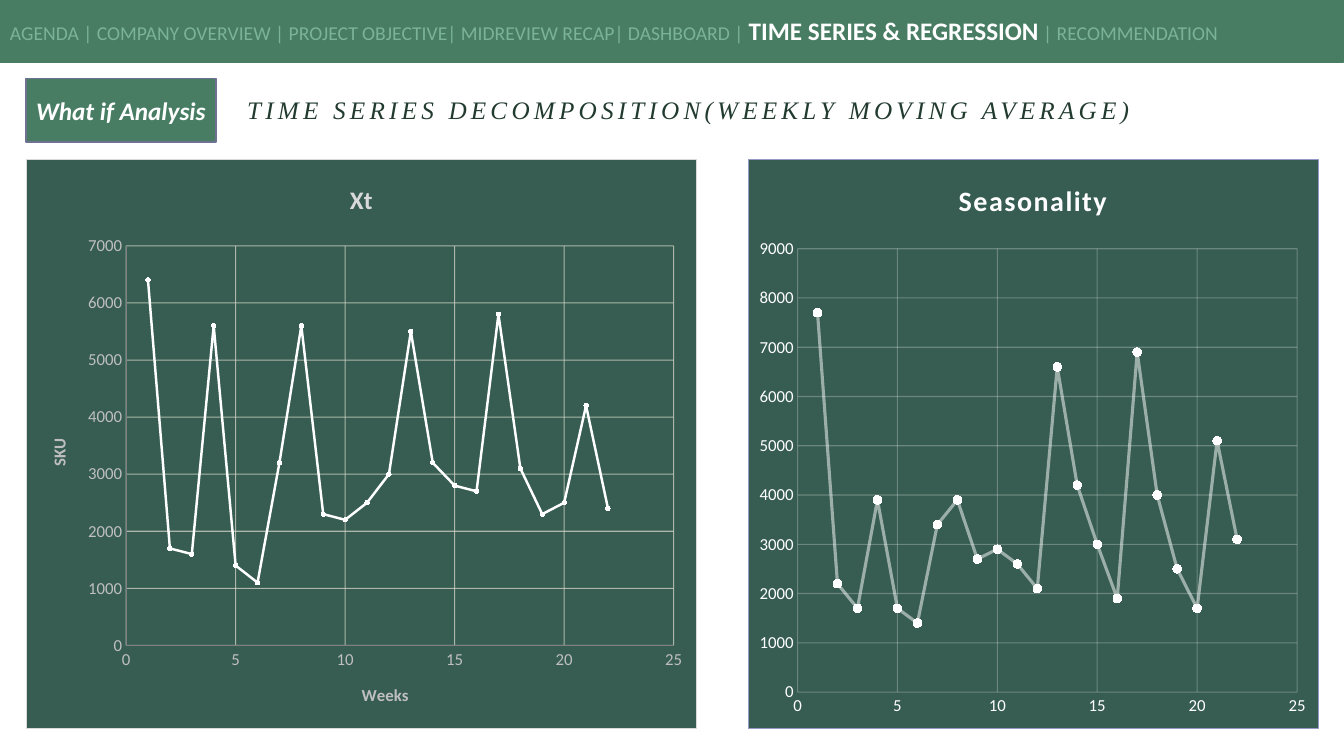
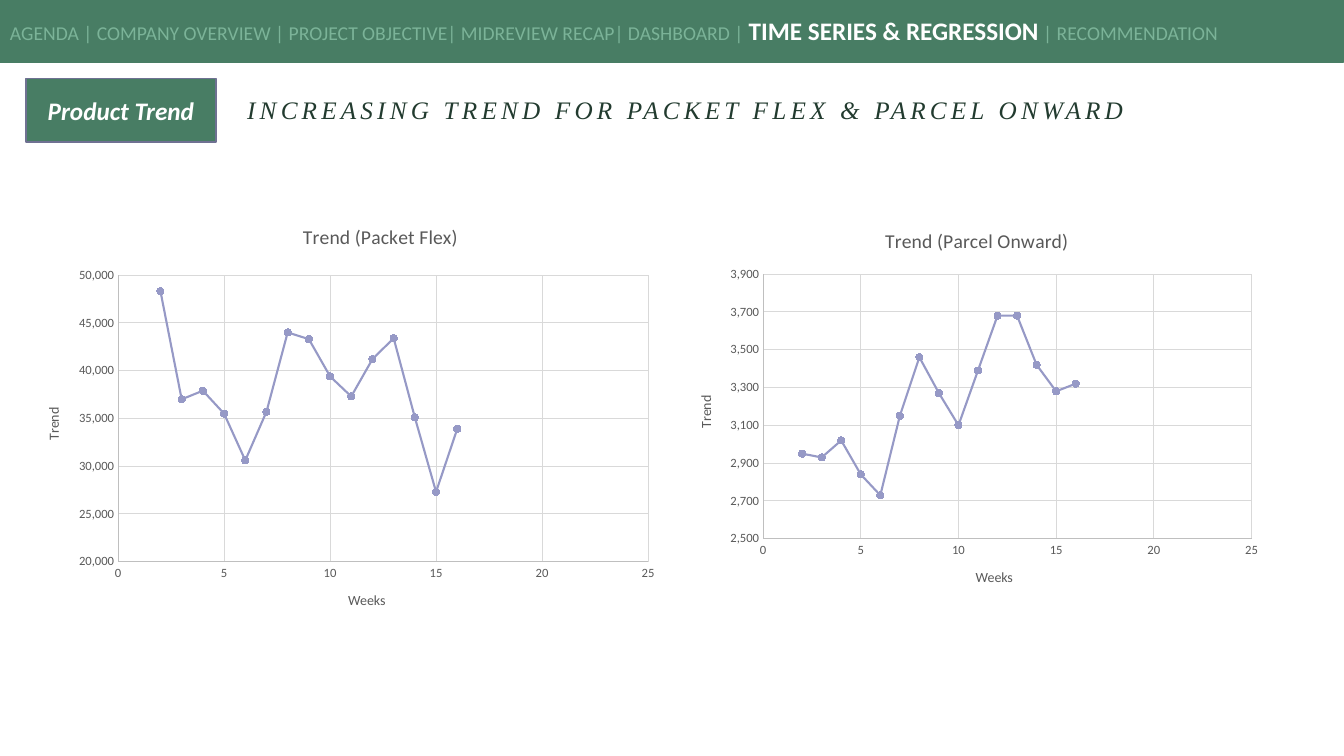
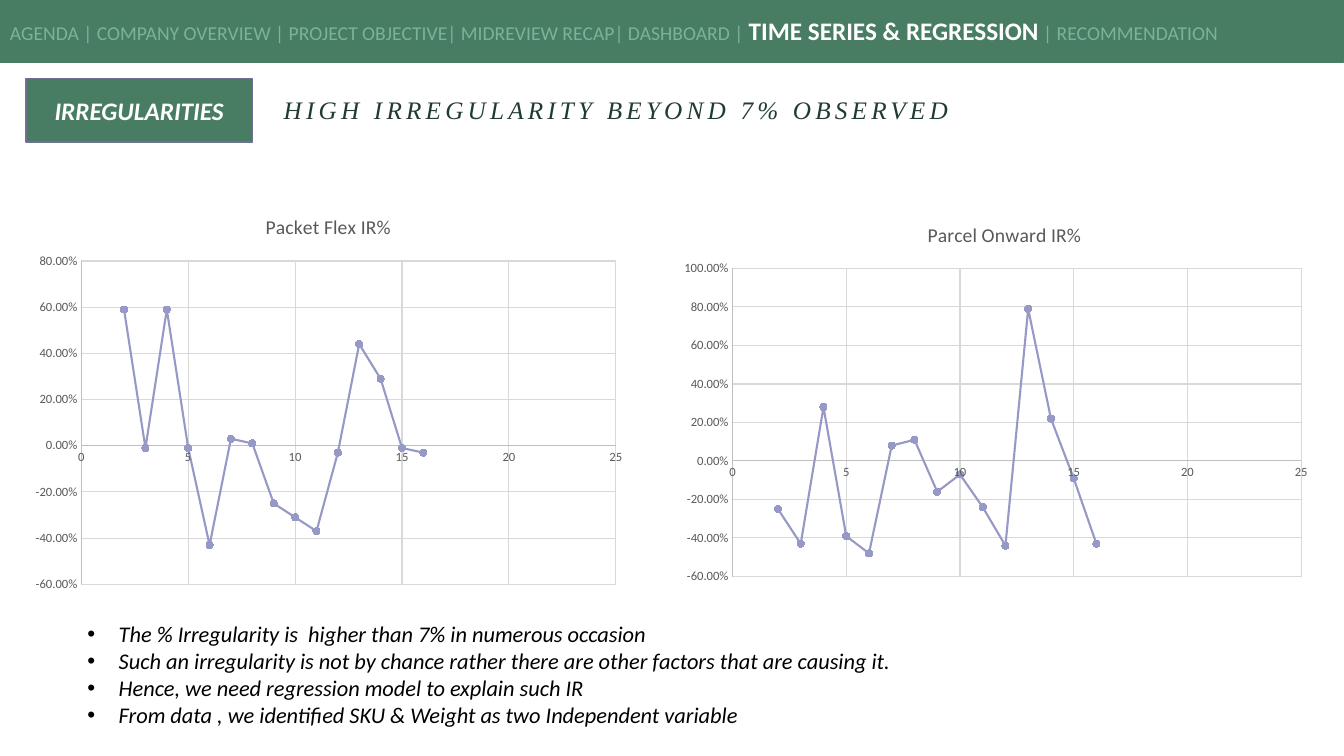
from typing import NamedTuple
from lxml.etree import SubElement as Sub
from pptx import Presentation
from pptx.chart.data import XyChartData
from pptx.dml.color import RGBColor as Rgb
from pptx.enum.chart import XL_CHART_TYPE as Kind, XL_MARKER_STYLE as Mark, XL_TICK_MARK as Tick
from pptx.enum.shapes import MSO_SHAPE as Form
from pptx.enum.text import MSO_ANCHOR as Anchor, MSO_AUTO_SIZE as Fit, PP_ALIGN as Align
from pptx.oxml import parse_xml
from pptx.oxml.ns import nsdecls, qn
from pptx.util import Inches, Pt

GREEN = Rgb(0x48, 0x7D, 0x64)
PALE = Rgb(0x7B, 0xB3, 0x98)
DEEP = Rgb(0x37, 0x5D, 0x52)
INK = Rgb(0x22, 0x3B, 0x2F)
EDGE = Rgb(0x6F, 0x71, 0x92)
LILAC = Rgb(0x96, 0x99, 0xC6)
WHITE = Rgb(0xFF, 0xFF, 0xFF)
BLACK = Rgb(0, 0, 0)
TEXT = Rgb(0x59, 0x59, 0x59)
SILVER = Rgb(0xBF, 0xBF, 0xBF)
MIST = Rgb(0xD9, 0xD9, 0xD9)
STONE = Rgb(0xD4, 0xD4, 0xC8)
GREY = Rgb(0x80, 0x80, 0x80)
SANS, SERIF = "Calibri", "Times New Roman"
WIDE, HIGH = Inches(13.33), Inches(7.5)
MARGIN, GAP, RIGHT = 1.93, 1.57, 95.42
WEEKS = 22
NAV = [
    ("AGENDA | COMPANY OVERVIEW | PROJECT OBJECTIVE| MIDREVIEW RECAP| DASHBOARD | ", 14, PALE, False),
    ("TIME SERIES & REGRESSION", 18, WHITE, True),
    (" | RECOMMENDATION", 14, PALE, False),
]


class Look(NamedTuple):
    """Colours and sizes of one kind of chart."""
    ink: Rgb = TEXT
    size: float = 9
    head: Rgb = TEXT
    head_size: float = 14
    bold: bool = False
    space: int = 0
    name_size: float = 10
    axis: Rgb | None = SILVER
    grid: Rgb = MIST
    grid_alpha: int = 100
    line: Rgb = LILAC
    width: float = 1.5
    alpha: int = 100
    dot: int = 5
    fill: Rgb | None = None
    edge: Rgb | None = None


LIGHT = Look()
DARK = Look(SILVER, 12, MIST, 18, True, 0, 12, GREY, STONE, 75, WHITE, 1.75, 100, 3, DEEP, MIST)
SEASON = DARK._replace(ink=WHITE, head=WHITE, head_size=20, space=100, axis=None, grid=WHITE,
                       grid_alpha=25, width=2.25, alpha=50, dot=6, edge=LILAC)


class Plot(NamedTuple):
    """One chart: its box, inner area and title spot in percent, and its data."""
    title: str
    box: tuple
    area: tuple
    spot: tuple
    scale: tuple
    form: str
    first: int
    vals: list
    names: tuple = ()
    look: Look = LIGHT


def cells(x, y, w, h):
    """Turn percent of the slide into lengths."""
    return [round(part * full / 100) for part, full in zip((x, y, w, h), (WIDE, HIGH) * 2)]


def style(run, size, tone, face=SANS, bold=False, slant=False, space=0):
    """Format one run."""
    font = run.font
    font.size, font.name, font.bold, font.italic = Pt(size), face, bold, slant
    font.color.rgb = tone
    if space:
        run._r.get_or_add_rPr().set("spc", str(space))


def block(slide, box, edge):
    """Add a green rectangle and return its text frame."""
    shape = slide.shapes.add_shape(Form.RECTANGLE, *cells(*box))
    shape.shadow.inherit = False
    shape.fill.solid()
    shape.fill.fore_color.rgb = GREEN
    shape.line.color.rgb = edge
    shape.line.width = Pt(1)
    frame = shape.text_frame
    frame.vertical_anchor = Anchor.MIDDLE
    return frame


def band(slide):
    """Add the navigation band."""
    para = block(slide, (0, -0.13, 99.92, 8.4), GREEN).paragraphs[0]
    para.alignment = Align.LEFT
    for words, size, tone, bold in NAV:
        run = para.add_run()
        run.text = words
        style(run, size, tone, bold=bold)


def header(slide, tag, wide, title):
    """Add the tag and put the title beside it."""
    frame = block(slide, (MARGIN, 10.4, wide, 8.4), EDGE)
    frame.word_wrap = False
    frame.text = tag
    para = frame.paragraphs[0]
    para.alignment = Align.CENTER
    style(para.runs[0], 18, WHITE, bold=True, slant=True)
    left = MARGIN + wide + GAP
    head = slide.shapes.title
    head.left, head.top, head.width, head.height = cells(left, 10.53, RIGHT - left, 8.4)
    frame = head.text_frame
    frame.text = title
    frame.vertical_anchor, frame.auto_size = Anchor.MIDDLE, Fit.NONE
    para = frame.paragraphs[0]
    para.alignment, para.line_spacing = Align.LEFT, 0.9
    style(para.runs[0], 18, INK, SERIF, slant=True, space=300)


def pin(spot, inner=False):
    """Build a manual chart layout from percents."""
    layout = parse_xml(f"<c:layout {nsdecls('c')}><c:manualLayout/></c:layout>")
    items = [("layoutTarget", "inner")] if inner else []
    items += [("xMode", "edge"), ("yMode", "edge")]
    items += [(key, str(part / 100)) for key, part in zip("xywh", spot)]
    for key, val in items:
        Sub(layout[0], qn("c:" + key)).set("val", val)
    return layout


def fade(line, alpha):
    """Make a line partly transparent."""
    if alpha < 100:
        for tone in line._get_or_add_ln().iter(qn("a:srgbClr")):
            Sub(tone, qn("a:alpha")).set("val", str(alpha * 1000))


def back(chart, look):
    """Set the fill and border of the chart area."""
    fill = f'<a:solidFill><a:srgbClr val="{look.fill}"/></a:solidFill>' if look.fill else "<a:noFill/>"
    edge = f'<a:solidFill><a:srgbClr val="{look.edge}"/></a:solidFill>' if look.edge else "<a:noFill/>"
    area = parse_xml(f'<c:spPr {nsdecls("c", "a")}>{fill}<a:ln w="9525">{edge}</a:ln></c:spPr>')
    chart._chartSpace.find(qn("c:chart")).addnext(area)


def rule(axis, scale, form, look, name):
    """Format one axis with its grid, labels and name."""
    axis.minimum_scale, axis.maximum_scale, axis.major_unit = scale
    axis.major_tick_mark = axis.minor_tick_mark = Tick.NONE
    axis.has_major_gridlines = True
    grid = axis.major_gridlines.format.line
    grid.color.rgb, grid.width = look.grid, Pt(0.75)
    fade(grid, look.grid_alpha)
    line = axis.format.line
    if look.axis is None:
        line.fill.background()
    else:
        line.color.rgb, line.width = look.axis, Pt(0.75)
    labels = axis.tick_labels
    labels.number_format, labels.number_format_is_linked = form, False
    labels.font.size, labels.font.name = Pt(look.size), SANS
    labels.font.color.rgb = look.ink
    axis.has_title = bool(name)
    if name:
        frame = axis.axis_title.text_frame
        frame.text = name
        style(frame.paragraphs[0].runs[0], look.name_size, look.ink, bold=look.bold)


def table(plot):
    """Pair every week with its value, or with none."""
    data = XyChartData()
    points = data.add_series("Series 1")
    known = dict(enumerate(plot.vals, plot.first))
    for week in range(1, WEEKS + 1):
        points.add_data_point(week, known.get(week))
    return data


def clear(chart):
    """Leave gaps for weeks without a value."""
    for val in list(chart._chartSpace.iter(qn("c:v"))):
        if val.text in (None, "", "None"):
            point = val.getparent()
            point.getparent().remove(point)


def graph(slide, plot):
    """Add a scatter chart with lines."""
    look = plot.look
    chart = slide.shapes.add_chart(Kind.XY_SCATTER_LINES, *cells(*plot.box), table(plot)).chart
    clear(chart)
    chart.has_legend = False
    chart.font.name, chart.font.size = SANS, Pt(look.size)
    chart.font.color.rgb = look.ink
    back(chart, look)
    chart.has_title = True
    frame = chart.chart_title.text_frame
    frame.text = plot.title
    style(frame.paragraphs[0].runs[0], look.head_size, look.head, bold=look.bold, space=look.space)
    head = chart._chartSpace.chart.find(qn("c:title"))
    area = chart._chartSpace.chart.plotArea
    for part in (head, area):
        for old in part.findall(qn("c:layout")):
            part.remove(old)
    head.find(qn("c:tx")).addnext(pin(plot.spot))
    area.insert(0, pin(plot.area, True))
    across, up = plot.names or ("", "")
    rule(chart.category_axis, (0, 25, 5), "General", look, across)
    rule(chart.value_axis, plot.scale, plot.form, look, up)
    chart.plots[0].vary_by_categories = False
    series = chart.plots[0].series[0]
    series.smooth = False
    line = series.format.line
    line.color.rgb, line.width = look.line, Pt(look.width)
    fade(line, look.alpha)
    mark = series.marker
    mark.style, mark.size = Mark.CIRCLE, look.dot
    mark.format.fill.solid()
    mark.format.fill.fore_color.rgb = look.line
    mark.format.line.color.rgb = look.line


def bullets(slide, box, items):
    """Fill the body placeholder with a list."""
    body = slide.placeholders[1]
    body.left, body.top, body.width, body.height = cells(*box)
    frame = body.text_frame
    frame.text = "\n".join(items)
    frame.auto_size = Fit.NONE
    for para in frame.paragraphs:
        para.space_before = Pt(0)
        props = para._p.get_or_add_pPr()
        props.set("marL", str(Inches(0.31)))
        props.set("indent", str(-Inches(0.31)))
        style(para.runs[0], 16, BLACK, slant=True)


def page(deck, tag, wide, title, plots, items=()):
    """Build one slide: header, charts, optional list and band."""
    slide = deck.slides.add_slide(deck.slide_layouts[1 if items else 5])
    header(slide, tag, wide, title)
    for plot in plots:
        graph(slide, plot)
    if items:
        bullets(slide, (5.76, 81.4, 82.9, 15.73), items)
    band(slide)


def main():
    """Build and save the deck."""
    deck = Presentation()
    deck.slide_width, deck.slide_height = WIDE, HIGH
    page(deck, "What if Analysis", 14.14, "TIME SERIES DECOMPOSITION(WEEKLY MOVING AVERAGE)", [
        Plot("Xt", (1.95, 21.07, 49.89, 75.33), (14.85, 15.15, 81.8, 70.3), (47.6, 3.2),
             (0, 7000, 1000), "General", 1,
             [6400, 1700, 1600, 5600, 1400, 1100, 3200, 5600, 2300, 2200, 2500,
              3000, 5500, 3200, 2800, 2700, 5800, 3100, 2300, 2500, 4200, 2400],
             ("Weeks", "SKU"), DARK),
        Plot("Seasonality", (55.66, 21.07, 42.46, 75.33), (8.6, 15.65, 87.7, 78), (36, 2.9),
             (0, 9000, 1000), "General", 1,
             [7700, 2200, 1700, 3900, 1700, 1400, 3400, 3900, 2700, 2900, 2600,
              2100, 6600, 4200, 3000, 1900, 6900, 4000, 2500, 1700, 5100, 3100],
             look=SEASON),
    ])
    page(deck, "Product Trend", 14.14, "INCREASING TREND FOR PACKET FLEX & PARCEL ONWARD", [
        Plot("Trend (Packet Flex)", (1.8, 28, 47.86, 55.33), (14.6, 15.2, 82.4, 68.5), (42.8, 2),
             (20000, 50000, 5000), "#,##0", 2,
             [48300, 37000, 37900, 35500, 30600, 35700, 44000, 43300,
              39400, 37300, 41200, 43400, 35100, 27300, 33900], ("Weeks", "Trend")),
        Plot("Trend (Parcel Onward)", (50.34, 28, 44.11, 52.27), (14.6, 15.8, 82.4, 67), (34.6, 3.1),
             (2500, 3900, 200), "#,##0", 2,
             [2950, 2930, 3020, 2840, 2730, 3150, 3460, 3270,
              3100, 3390, 3680, 3680, 3420, 3280, 3320], ("Weeks", "Trend")),
    ])
    page(deck, "IRREGULARITIES", 16.86, "HIGH IRREGULARITY BEYOND 7% OBSERVED", [
        Plot("Packet Flex IR%", (1.73, 26, 45.46, 53.33), (9.5, 16, 87.5, 80.2), (39.1, 3.3),
             (-0.6, 0.8, 0.2), "0.00%", 2,
             [0.59, -0.01, 0.59, -0.01, -0.43, 0.03, 0.01, -0.25,
              -0.31, -0.37, -0.03, 0.44, 0.29, -0.01, -0.03]),
        Plot("Parcel Onward IR%", (49.96, 27.07, 48.31, 51.2), (9.4, 16.5, 87.6, 79.6), (38.9, 3.4),
             (-0.6, 1, 0.2), "0.00%", 2,
             [-0.25, -0.43, 0.28, -0.39, -0.48, 0.08, 0.11, -0.16,
              -0.07, -0.24, -0.44, 0.79, 0.22, -0.09, -0.43]),
    ], [
        "The % Irregularity is  higher than 7% in numerous occasion",
        "Such an irregularity is not by chance rather there are other factors that are causing it.",
        "Hence, we need regression model to explain such IR",
        "From data , we identified SKU & Weight as two Independent variable",
    ])
    deck.save("out.pptx")


if __name__ == "__main__":
    main()
